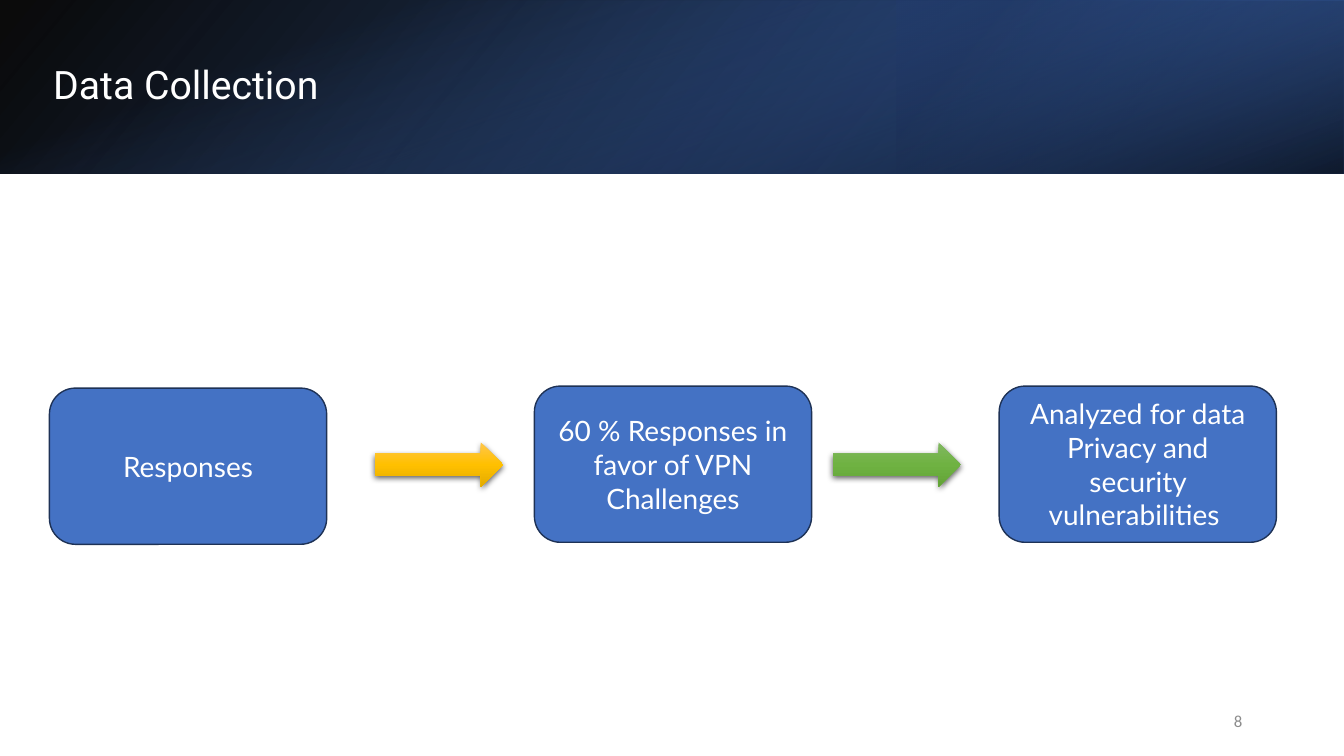
"""Build the Data Collection slide: a banner and a three-step flow."""
from dataclasses import dataclass

from lxml.etree import SubElement
from pptx import Presentation
from pptx.dml.color import RGBColor as Rgb
from pptx.enum.shapes import MSO_SHAPE as Shape
from pptx.enum.text import MSO_ANCHOR as Anchor, PP_ALIGN as Align
from pptx.oxml.ns import qn
from pptx.util import Emu, Pt

EMU_PER_PX = 9144
DEGREE = 60000
PERCENT = 1000


@dataclass(frozen=True)
class Theme:
    white: str = "FFFFFF"
    black: str = "000000"
    blue: str = "4472C4"
    mid_blue: str = "2F5597"
    navy: str = "203864"
    outline: str = "1E3256"
    grey: str = "8C8C8C"
    amber: tuple = ("FFC64B", "FFC000", "E3AB00")
    green: tuple = ("81B861", "6FB242", "62A336")
    title_font: str = "Roboto"
    step_font: str = "Lato"
    number_font: str = "Calibri"
    title_size: int = 28
    step_size: int = 20
    number_size: int = 12


THEME = Theme()


def px(length):
    return Emu(length * EMU_PER_PX)


def apply(target, values):
    for name, value in values.items():
        setattr(target, name, value)


def add_color(parent, color, alpha):
    tint = SubElement(parent, qn("a:srgbClr"), val=color)
    if alpha < 100:
        SubElement(tint, qn("a:alpha"), val=str(alpha * PERCENT))


def add_block(slide, preset, box):
    block = slide.shapes.add_shape(preset, *map(px, box))
    block.shadow.inherit = False
    block.line.fill.background()
    return block


def fill_gradient(block, stops, angle):
    block.fill.background()
    properties = block._element.spPr
    empty_fill = properties.find(qn("a:noFill"))
    gradient = SubElement(properties, qn("a:gradFill"), rotWithShape="1")
    stop_list = SubElement(gradient, qn("a:gsLst"))
    for position, color, alpha in stops:
        stop = SubElement(stop_list, qn("a:gs"), pos=str(position * PERCENT))
        add_color(stop, color, alpha)
    SubElement(gradient, qn("a:lin"), ang=str(angle * DEGREE), scaled="0")
    properties.replace(empty_fill, gradient)


def write(frame, text, font, paragraph_format):
    apply(frame, {"word_wrap": True, "vertical_anchor": Anchor.MIDDLE})
    paragraph = frame.paragraphs[0]
    apply(paragraph, paragraph_format)
    run = paragraph.add_run()
    run.text = text
    name, size, color = font
    apply(run.font, {"name": name, "size": Pt(size)})
    run.font.color.rgb = Rgb.from_string(color)


def add_label(slide, box, text, font, paragraph_format):
    label = slide.shapes.add_textbox(*map(px, box))
    write(label.text_frame, text, font, paragraph_format)


def add_banner_layer(slide, box, stops, angle, rotation=0, flipped=False):
    layer = add_block(slide, Shape.RECTANGLE, box)
    layer.rotation = rotation
    if flipped:
        layer._element.spPr.find(qn("a:xfrm")).set("flipH", "1")
    fill_gradient(layer, stops, angle)


def add_step(slide, left, top, text):
    step = add_block(slide, Shape.ROUNDED_RECTANGLE, (left, top, 275, 155))
    step.fill.solid()
    step.fill.fore_color.rgb = Rgb.from_string(THEME.blue)
    step.line.color.rgb = Rgb.from_string(THEME.outline)
    step.line.width = Pt(1)
    write(step.text_frame, text, (THEME.step_font, THEME.step_size, THEME.white),
          {"alignment": Align.CENTER, "space_after": Pt(6)})


def add_arrow(slide, left, colors):
    arrow = add_block(slide, Shape.RIGHT_ARROW, (left, 439, 127, 44))
    fill_gradient(arrow, [(i * 50, color, 100) for i, color in enumerate(colors)], 90)
    effects = arrow._element.spPr.find(qn("a:effectLst"))
    shadow = SubElement(effects, qn("a:outerShdw"), blurRad=str(Pt(4.5)),
                        dist=str(Pt(1.5)), dir=str(90 * DEGREE),
                        algn="ctr", rotWithShape="0")
    add_color(shadow, THEME.black, 63)


def add_banner(slide):
    add_banner_layer(slide, (0, 0, 1333, 172),
                     [(0, THEME.black, 96), (100, THEME.mid_blue, 100)],
                     140, flipped=True)
    add_banner_layer(slide, (889, 0, 444, 172),
                     [(19, THEME.navy, 68), (100, THEME.blue, 79)],
                     320, rotation=180, flipped=True)
    add_banner_layer(slide, (580, -580, 172, 1333),
                     [(23, THEME.blue, 0), (99, THEME.black, 74)],
                     340, rotation=90)


def main():
    deck = Presentation()
    apply(deck, {"slide_width": px(1333), "slide_height": px(750)})
    slide = deck.slides.add_slide(deck.slide_layouts[6])
    add_banner(slide)
    add_label(slide, (43, 38, 330, 96), "Data Collection",
              (THEME.title_font, THEME.title_size, THEME.white),
              {"line_spacing": 0.9})
    for left, top, text in (
        (49, 385, "Responses"),
        (530, 383, "60 % Responses in favor of VPN Challenges"),
        (991, 383, "Analyzed for data Privacy and security vulnerabilities "),
    ):
        add_step(slide, left, top, text)
    add_label(slide, (942, 695, 300, 40), "8",
              (THEME.number_font, THEME.number_size, THEME.grey),
              {"alignment": Align.RIGHT})
    for left, colors in ((372, THEME.amber), (826, THEME.green)):
        add_arrow(slide, left, colors)
    deck.save("out.pptx")


if __name__ == "__main__":
    main()
